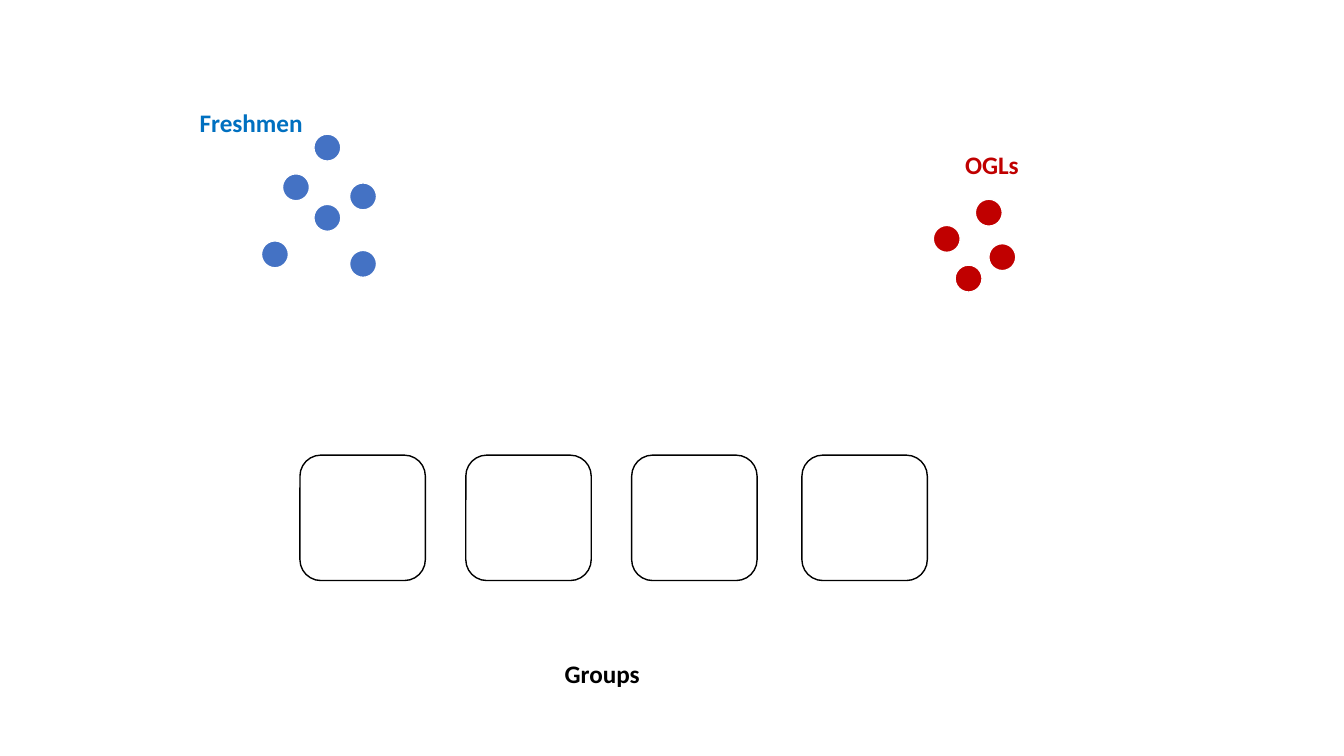
import dataclasses

import pptx
import pptx.dml.color
import pptx.enum.shapes
import pptx.enum.text
import pptx.util

Cm = pptx.util.Cm
RGB = pptx.dml.color.RGBColor.from_string
SHAPE = pptx.enum.shapes.MSO_SHAPE


@dataclasses.dataclass(frozen=True)
class Theme:
    font: str = "Calibri"
    label_size: int = 18
    line_width: int = 1
    white: str = "FFFFFF"
    black: str = "000000"
    freshman_dot: str = "4472C4"
    freshman_label: str = "0070C0"
    ogl: str = "C00000"


THEME = Theme()
DOT_SIZE = 0.68
BOX_SIZE = 3.16
BOX_TOP = 11.47
BOX_LEFTS = (7.56, 11.74, 15.92, 20.21)
OGL_DOTS = ((23.52, 5.68), (24.58, 5.02), (24.07, 6.68), (24.92, 6.14))
FRESHMAN_DOTS = ((7.91, 3.38), (7.12, 4.38), (7.91, 5.15),
                 (8.81, 4.61), (6.59, 6.07), (8.81, 6.31))


def add_square(slide, kind, left, top, size, fill, line):
    s = slide.shapes.add_shape(kind, Cm(left), Cm(top), Cm(size), Cm(size))
    s.shadow.inherit = False
    s.fill.solid()
    s.fill.fore_color.rgb = RGB(fill)
    s.line.color.rgb = RGB(line)
    s.line.width = pptx.util.Pt(THEME.line_width)


def add_label(slide, text, left, top, width, color):
    s = slide.shapes.add_textbox(Cm(left), Cm(top), Cm(width), Cm(1.03))
    tf = s.text_frame
    tf.word_wrap = False
    tf.auto_size = pptx.enum.text.MSO_AUTO_SIZE.SHAPE_TO_FIT_TEXT
    p = tf.paragraphs[0]
    p.text = text
    p.font.name = THEME.font
    p.font.size = pptx.util.Pt(THEME.label_size)
    p.font.bold = True
    p.font.color.rgb = RGB(color)


def add_dots(slide, places, color):
    for left, top in places:
        add_square(slide, SHAPE.OVAL, left, top, DOT_SIZE, color, THEME.white)


def main():
    prs = pptx.Presentation()
    prs.slide_width, prs.slide_height = Cm(33.87), Cm(19.05)
    slide = prs.slides.add_slide(prs.slide_layouts.get_by_name("Blank"))

    add_dots(slide, OGL_DOTS, THEME.ogl)
    add_label(slide, "OGLs", 24.07, 3.63, 1.88, THEME.ogl)
    add_dots(slide, FRESHMAN_DOTS, THEME.freshman_dot)
    add_label(slide, "Freshmen", 4.78, 2.57, 3.1, THEME.freshman_label)
    for left in BOX_LEFTS:
        add_square(slide, SHAPE.ROUNDED_RECTANGLE, left, BOX_TOP,
                   BOX_SIZE, THEME.white, THEME.black)
    add_label(slide, "Groups", 13.98, 16.47, 2.41, THEME.black)

    prs.save("out.pptx")


main()
